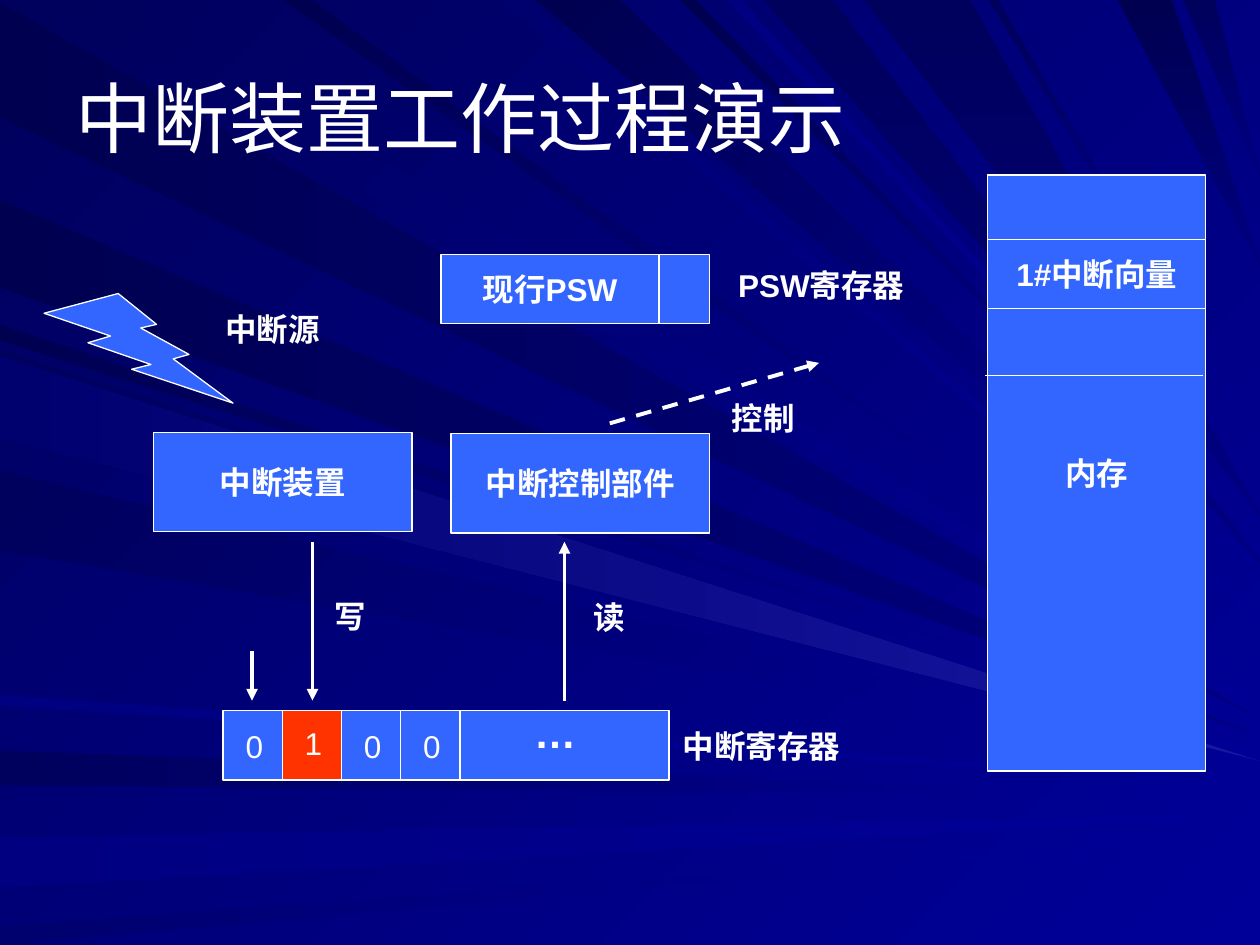
from lxml.etree import SubElement
from pptx import Presentation
from pptx.dml.color import RGBColor
from pptx.enum.dml import MSO_LINE
from pptx.enum.shapes import MSO_CONNECTOR, MSO_SHAPE
from pptx.enum.text import MSO_ANCHOR, MSO_AUTO_SIZE, PP_ALIGN
from pptx.oxml.ns import qn
from pptx.util import Pt

PX = 9144
PAGE_WIDTH, PAGE_HEIGHT = 1000, 750
WHITE = RGBColor(0xFF, 0xFF, 0xFF)
BLUE = RGBColor(0x33, 0x66, 0xFF)
RED = RGBColor(0xFF, 0x33, 0x00)
GLOW = RGBColor(0x17, 0x17, 0xA2)
BRIGHT = RGBColor(0x00, 0x00, 0x99)
MEDIUM = RGBColor(0x00, 0x00, 0x80)
SOFT = RGBColor(0x00, 0x00, 0x6F)
DIM = RGBColor(0x00, 0x00, 0x5D)
DARK = RGBColor(0x00, 0x00, 0x51)
LEFTWARD, UP_LEFT, DOWNWARD = 180, 135, 270

LEFT_RAYS = [
    (2, 93, 570, MEDIUM, DARK, LEFTWARD),
    (596, 623, 632, BRIGHT, DIM, LEFTWARD),
    (665, 704, 647, BRIGHT, MEDIUM, LEFTWARD),
    (735, 750, 662, BRIGHT, SOFT, LEFTWARD),
    (258, 270, 589, BRIGHT, DARK, UP_LEFT),
    (159, 228, 585, MEDIUM, DARK, LEFTWARD),
    (278, 342, 600, BRIGHT, DIM, UP_LEFT),
    (374, 437, 606, BRIGHT, DIM, UP_LEFT),
    (552, 560, 622, BRIGHT, MEDIUM, LEFTWARD),
    (283, 347, 604, GLOW, SOFT, LEFTWARD),
]
TOP_RAYS = [
    (26, 101, 563, BRIGHT, DIM, UP_LEFT),
    (398, 416, 518, BRIGHT, SOFT, UP_LEFT),
    (426, 492, 493, BRIGHT, DARK, UP_LEFT),
    (540, 552, 463, BRIGHT, DARK, UP_LEFT),
    (606, 661, 446, DIM, MEDIUM, DOWNWARD),
    (887, 930, 210, DARK, MEDIUM, DOWNWARD),
    (939, 964, 140, DIM, MEDIUM, DOWNWARD),
    (225, 247, 550, BRIGHT, DARK, UP_LEFT),
    (577, 588, 454, BRIGHT, MEDIUM, UP_LEFT),
    (686, 770, 409, DIM, MEDIUM, DOWNWARD),
    (785, 792, 357, BRIGHT, DIM, UP_LEFT),
]


def emu(*lengths):
    """Turn px lengths into EMU."""
    return [length * PX for length in lengths]


def shade(fill, start, end, angle):
    """Fill with a gradient between two colours."""
    fill.gradient()
    fill.gradient_angle = angle
    for stop, colour in zip(fill.gradient_stops, (start, end)):
        stop.color.rgb = colour


def write(frame, text, size=18, bold=True, align=PP_ALIGN.LEFT, anchor=MSO_ANCHOR.TOP, wrap=True):
    """Put one formatted paragraph into a text frame."""
    frame.word_wrap = wrap
    frame.auto_size = MSO_AUTO_SIZE.NONE
    frame.vertical_anchor = anchor
    para = frame.paragraphs[0]
    para.alignment = align
    span = para.add_run()
    span.text = text
    span.font.name = "Arial"
    span.font.size = Pt(size)
    span.font.bold = bold
    span.font.color.rgb = WHITE


def add_label(page, box, text, **style):
    """Add a text box."""
    write(page.shapes.add_textbox(*emu(*box)).text_frame, text, **style)


def add_block(page, box, text="", fill=BLUE, kind=MSO_SHAPE.RECTANGLE):
    """Add a filled, thinly outlined shape with optional centred text."""
    block = page.shapes.add_shape(kind, *emu(*box))
    block.shadow.inherit = False
    block.fill.solid()
    block.fill.fore_color.rgb = fill
    block.line.color.rgb = WHITE
    block.line.width = Pt(0.75)
    if text:
        write(block.text_frame, text, align=PP_ALIGN.CENTER, anchor=MSO_ANCHOR.MIDDLE, wrap=False)


def add_line(page, start, end, width=0.75, arrow=False, dash=None):
    """Add a straight line, with an arrowhead at its end if wanted."""
    line = page.shapes.add_connector(MSO_CONNECTOR.STRAIGHT, *emu(*start, *end))
    line.line.color.rgb = WHITE
    line.line.width = Pt(width)
    if dash:
        line.line.dash_style = dash
    if arrow:
        SubElement(line.line._get_or_add_ln(), qn("a:tailEnd"), type="triangle")
    SubElement(line._element.spPr, qn("a:effectLst"))


def add_arrow(page, start, end, dash=None):
    """Add a thick arrow."""
    add_line(page, start, end, width=2.25, arrow=True, dash=dash)


def add_ray(page, first, second, tip, colours):
    """Add a shaded ray that narrows to a tip on the right edge."""
    builder = page.shapes.build_freeform(*first, scale=PX)
    builder.add_line_segments([second, (PAGE_WIDTH, tip)], close=True)
    ray = builder.convert_to_shape()
    ray.shadow.inherit = False
    shade(ray.fill, *colours)
    ray.line.fill.background()


def draw_background(page):
    """Shade the page and lay the light rays over it."""
    shade(page.background.fill, BRIGHT, DIM, UP_LEFT)
    for start, end, tip, *colours in LEFT_RAYS:
        add_ray(page, (0, start), (0, end), tip, colours)
    for start, end, tip, *colours in TOP_RAYS:
        add_ray(page, (start, 0), (end, 0), tip, colours)


def draw_title(page, box, text):
    """Place the title in front of the rays."""
    title = page.shapes.title
    title.left, title.top, title.width, title.height = emu(*box)
    write(title.text_frame, text, size=44, bold=False, anchor=MSO_ANCHOR.MIDDLE)
    page.shapes._spTree.append(title._element)


def draw_interrupt_register(page, box):
    """Draw the interrupt register with its bits, the second one set."""
    left, top, width, height = box
    cell = 47
    add_block(page, box)
    for index in range(1, 5):
        x = left + index * cell
        add_line(page, (x, top), (x, top + height))
    add_block(page, (left + cell, top, cell, height), fill=RED)
    for index, bit in enumerate("0100"):
        add_label(page, (left + 8 + index * cell, top + 8 - 2 * int(bit), 32, 40), bit, bold=False)
    add_label(page, (left + 237, top - 8, 79, 50), "…", size=24)
    add_label(page, (left + width + 1, top + 8, 150, 40), "中断寄存器")


def draw_interrupt_source(page, box):
    """Draw the lightning bolt of the interrupt source."""
    left, top, width, height = box
    add_block(page, box, kind=MSO_SHAPE.LIGHTNING_BOLT)
    add_label(page, (left + 134, top + 8, 118, 40), "中断源")


def draw_interrupt_device(page, box):
    """Draw the interrupt device and its write into the register."""
    left, top, width, height = box
    add_block(page, box, "中断装置")
    add_arrow(page, (left + 126, top + 87), (left + 126, top + 213))
    add_arrow(page, (left + 78, top + 174), (left + 78, top + 213))
    add_label(page, (left + 134, top + 126, 39, 40), "写")


def draw_control_unit(page, box):
    """Draw the control unit, its read and its control arrow."""
    left, top, width, height = box
    add_block(page, box, "中断控制部件")
    add_arrow(page, (left + 90, top + 212), (left + 90, top + 86))
    add_label(page, (left + 103, top + 126, 55, 40), "读")
    add_arrow(page, (left + 126, top - 8), (left + 292, top - 56), dash=MSO_LINE.DASH)
    add_label(page, (left + 213, top - 32, 71, 40), "控制")


def draw_status_register(page, box):
    """Draw the PSW register with the current PSW in it."""
    left, top, width, height = box
    add_block(page, box)
    add_block(page, (left - 8, top, 173, height), "现行PSW")
    add_label(page, (left + width + 13, top + 4, 157, 70), "PSW寄存器")


def draw_memory(page, box):
    """Draw the memory column with its interrupt vector."""
    left, top, width, height = box
    add_block(page, box, "内存")
    add_line(page, (left - 2, top + 159), (left + width - 2, top + 159))
    add_block(page, (left, top + 51, width, 55), "1#中断向量")


def main():
    """Build and save the deck."""
    deck = Presentation()
    deck.slide_width, deck.slide_height = emu(PAGE_WIDTH, PAGE_HEIGHT)
    page = deck.slides.add_slide(deck.slide_layouts[5])
    draw_background(page)
    draw_title(page, (50, 30, 900, 125), "中断装置工作过程演示")
    draw_interrupt_register(page, (177, 564, 354, 55))
    draw_interrupt_source(page, (35, 233, 150, 87))
    draw_interrupt_device(page, (122, 343, 205, 79))
    draw_control_unit(page, (358, 344, 205, 79))
    draw_status_register(page, (358, 202, 205, 55))
    draw_memory(page, (784, 139, 173, 473))
    deck.save("out.pptx")


if __name__ == "__main__":
    main()
